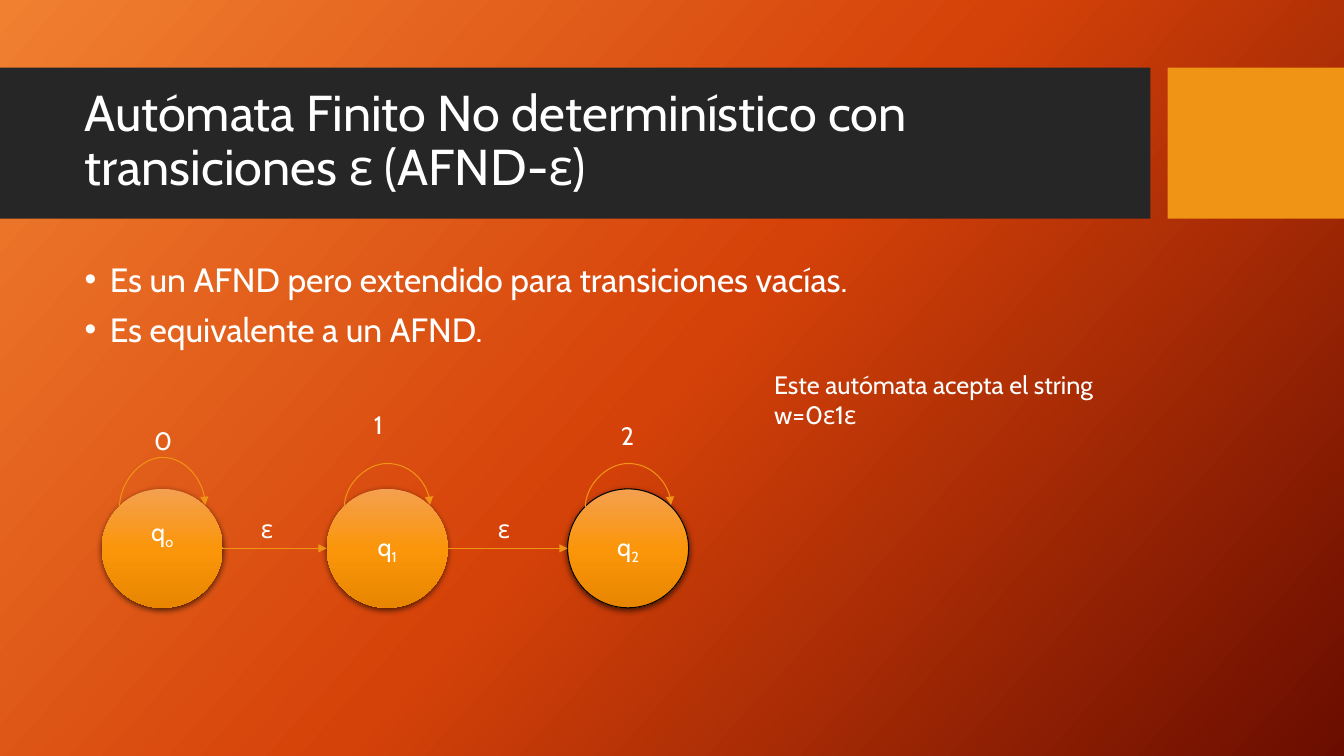
from lxml import etree
from pptx import Presentation
from pptx.dml.color import RGBColor
from pptx.enum import shapes, text
from pptx.oxml import parse_xml
from pptx.oxml.ns import nsdecls, qn
from pptx.util import Inches, Pt

COLORS = {
    "white": "FFFFFF", "black": "000000", "band": "262626", "accent": "F09415",
    "bg_light": "F18031", "bg_mid": "D54209", "bg_dark": "6A0D00",
    "state_top": "F4A050", "state_mid": "FB960A", "state_low": "E88600",
}


def set_gradient(fill, names, angle):
    """Three evenly spaced stops; the angle runs clockwise in degrees."""
    fill.gradient()
    grad = fill._fill._gradFill
    for child in list(grad):
        grad.remove(child)
    stops = "".join(
        f'<a:gs pos="{i * 50000}"><a:srgbClr val="{COLORS[name]}"/></a:gs>'
        for i, name in enumerate(names))
    grad.append(parse_xml(f'<a:gsLst {nsdecls("a")}>{stops}</a:gsLst>'))
    grad.append(parse_xml(f'<a:lin {nsdecls("a")} ang="{angle * 60000}" scaled="0"/>'))


def write(content, box=None, shape=None, size=18, sub=None, align=None, anchor="TOP",
          spacing=None, before=0, bullet=False, bottom=0.05):
    """Write lines of text into a shape, or into a new text box at box."""
    if shape is None:
        shape = slide.shapes.add_textbox(*map(Inches, box))
    frame = shape.text_frame
    frame.word_wrap = True
    frame.vertical_anchor = text.MSO_ANCHOR[anchor]
    frame.margin_bottom = Inches(bottom)
    for i, line in enumerate(content.split("\n")):
        para = frame.add_paragraph() if i else frame.paragraphs[0]
        para.alignment = align
        para.line_spacing = spacing
        if i:
            para.space_before = Pt(before)
        if bullet:
            props = para._p.get_or_add_pPr()
            props.set("marL", str(Inches(0.25)))
            props.set("indent", str(-Inches(0.25)))
            etree.SubElement(props, qn("a:buFont"), typeface="Arial")
            etree.SubElement(props, qn("a:buChar"), char="•")
        for part in filter(None, (line, sub)):
            run = para.add_run()
            run.text = part
            run.font.name = "Cabin"
            run.font.size = Pt(size)
            run.font.color.rgb = RGBColor.from_string(COLORS["white"])
            if part == sub:
                run.font._element.set("baseline", "-25000")


deck = Presentation()
deck.slide_width, deck.slide_height = Inches(13.33), Inches(7.5)
slide = deck.slides.add_slide(deck.slide_layouts[6])
set_gradient(slide.background.fill, ("bg_light", "bg_mid", "bg_dark"), 42)

# Title band and accent block
for left, width, color in ((0, 11.41, "band"), (11.58, 1.75, "accent")):
    band = slide.shapes.add_shape(shapes.MSO_SHAPE.RECTANGLE, Inches(left), Inches(0.67),
                                  Inches(width), Inches(1.5))
    band.shadow.inherit = False
    band.fill.solid()
    band.fill.fore_color.rgb = RGBColor.from_string(COLORS[color])
    band.line.fill.background()

write("Autómata Finito No determinístico con transiciones ε (AFND-ε)",
      box=(0.74, 0.82, 10.51, 1.18), size=36, anchor="MIDDLE", spacing=0.9)
write("Es un AFND pero extendido para transiciones vacías.\nEs equivalente a un AFND.",
      box=(0.74, 2.56, 10.51, 3.94), size=24, spacing=0.9, before=10, bullet=True)

# States: left edge, subscript, bottom inset
STATE_TOP, STATE_W, STATE_H = 4.85, 1.2, 1.18
states = []
for left, index, bottom in ((1.01, "o", 0.35), (3.24, "1", 0.05), (5.63, "2", 0.05)):
    state = slide.shapes.add_shape(shapes.MSO_SHAPE.OVAL, Inches(left), Inches(STATE_TOP),
                                   Inches(STATE_W), Inches(STATE_H))
    set_gradient(state.fill, ("state_top", "state_mid", "state_low"), 90)
    state.line.fill.background()
    state._element.spPr.append(parse_xml(
        f'<a:effectLst {nsdecls("a")}><a:outerShdw blurRad="{Pt(4.5)}" dist="{Pt(1.5)}" '
        f'dir="5400000" rotWithShape="0"><a:srgbClr val="{COLORS["black"]}">'
        '<a:alpha val="63000"/></a:srgbClr></a:outerShdw></a:effectLst>'))
    write("q", shape=state, sub=index, align=text.PP_ALIGN.CENTER, anchor="MIDDLE",
          bottom=bottom)
    states.append(state)

# The accepting state has an outline
states[-1].line.color.rgb = RGBColor.from_string(COLORS["black"])
states[-1].line.width = Pt(0.75)

# Self loops: a tall narrow curve turned by 90 degrees, peaking at the given height
LOOP_W, LOOP_H, LOOP_Y = 0.02, 0.85, 5.02
arrows = []
for state, peak in zip(states, (4.54, 4.6, 4.6)):
    center = state.left + state.width // 2
    loop_left, loop_top = center - Inches(LOOP_W / 2), Inches(LOOP_Y - LOOP_H / 2)
    loop = slide.shapes.add_connector(
        shapes.MSO_CONNECTOR.CURVE, loop_left + Inches(LOOP_W), loop_top + Inches(LOOP_H),
        loop_left, loop_top)
    loop._element.spPr.find(qn("a:xfrm")).set("rot", "5400000")
    guides = loop._element.spPr.find(qn("a:prstGeom")).get_or_add_avLst()
    bend = round((LOOP_Y + LOOP_W / 2 - peak) / LOOP_W * 100000)
    etree.SubElement(guides, qn("a:gd"), name="adj1", fmla=f"val {bend}")
    arrows.append(loop)

# Transitions from the right side of one state to the left side of the next
for source, target in zip(states, states[1:]):
    middle = source.top + source.height // 2
    arrows.append(slide.shapes.add_connector(
        shapes.MSO_CONNECTOR.STRAIGHT, source.left + source.width, middle,
        target.left, middle))

for arrow in arrows:
    arrow.line.color.rgb = RGBColor.from_string(COLORS["accent"])
    arrow.line.width = Pt(0.75)
    etree.SubElement(arrow.line._get_or_add_ln(), qn("a:tailEnd"), type="triangle")
    etree.SubElement(arrow._element.spPr, qn("a:effectLst"))

# Symbols read on each arrow
for symbol, left, top in (("0", 1.43, 4.17), ("1", 3.61, 4.01), ("2", 6.06, 4.12),
                          ("ε", 2.49, 5.04), ("ε", 4.84, 5.04)):
    write(symbol, box=(left, top, 0.35, 0.4))

write("Este autómata acepta el string w=0ε1ε", box=(7.58, 3.61, 3.61, 0.71))

deck.save("out.pptx")
